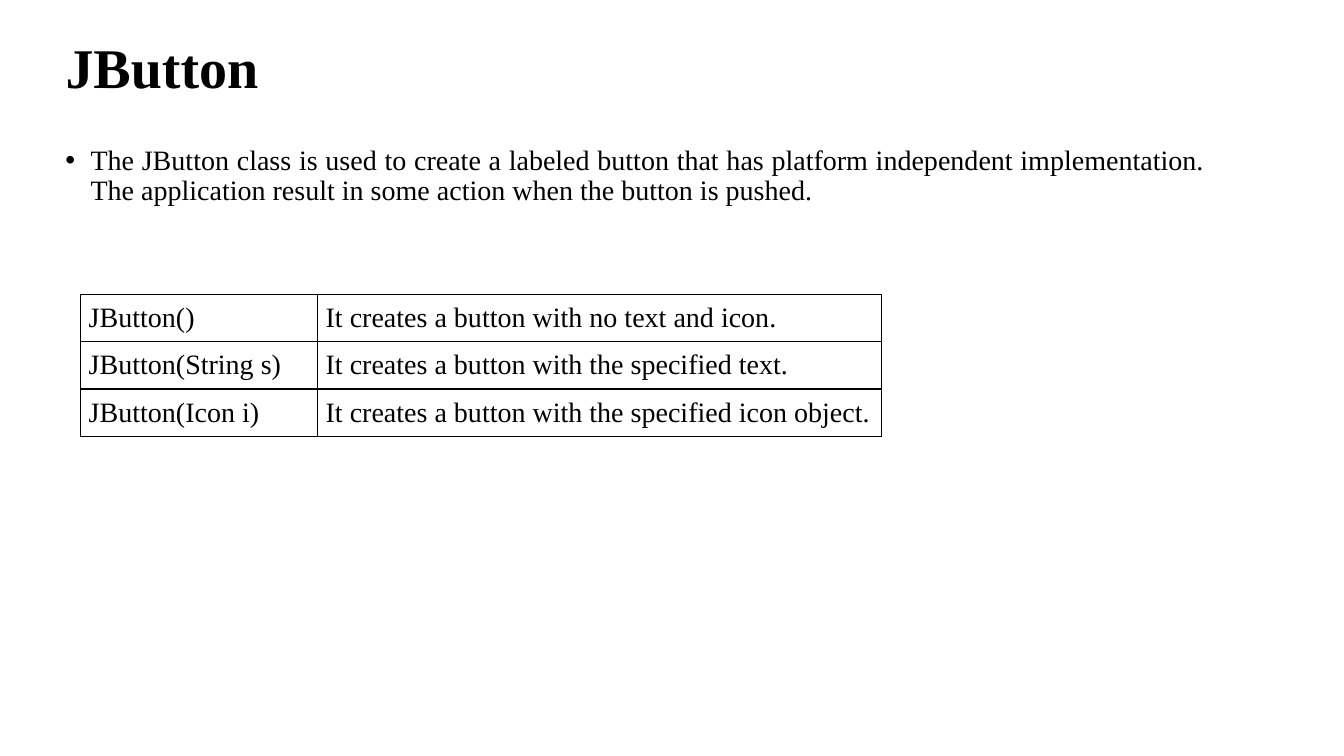
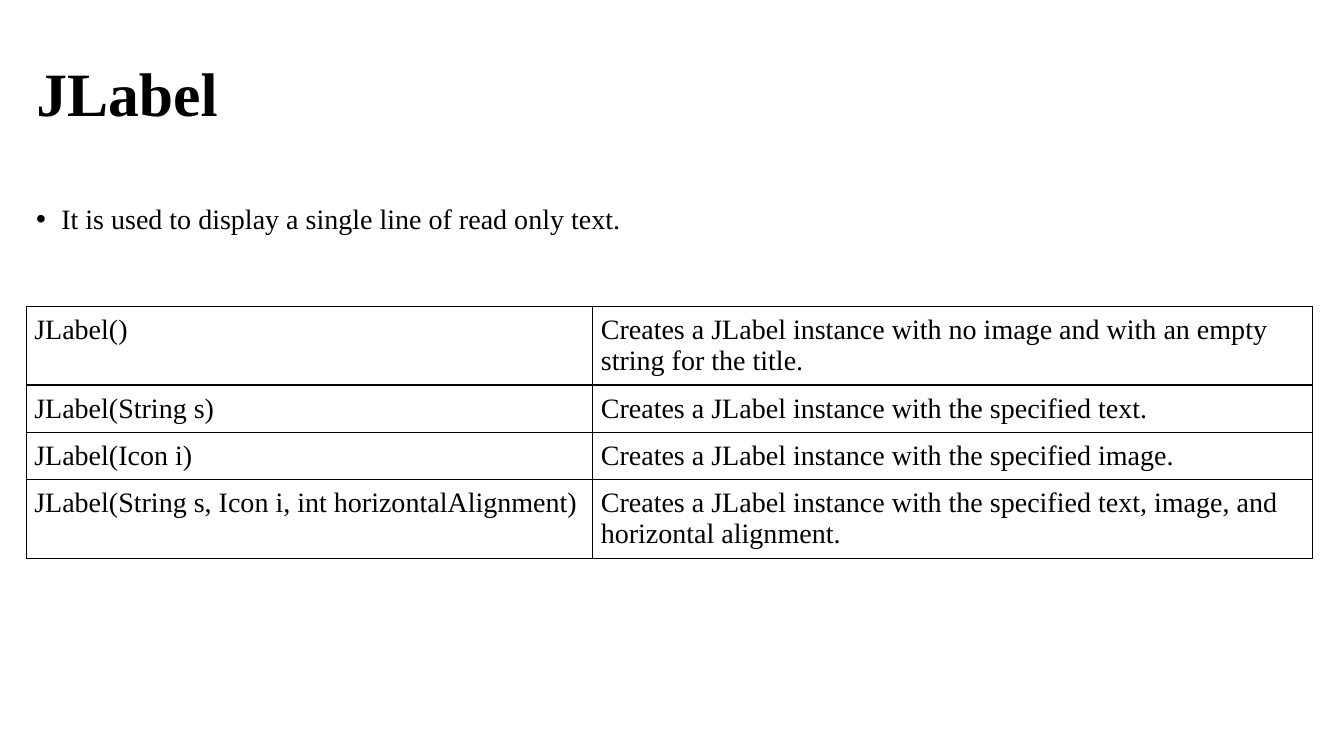
from lxml.etree import SubElement as Sub
from pptx import Presentation as Deck
from pptx.dml.color import RGBColor as Rgb
from pptx.enum.text import MSO_ANCHOR as Anchor, MSO_AUTO_SIZE as Fit, PP_ALIGN as Align
from pptx.oxml.ns import qn
from pptx.util import Inches, Pt

INK = "000000"
FACE = "Times New Roman"
LINE = Pt(1)
PAD = Inches(0.08)
SIZE = Pt(20)
BODY = {"line_spacing": 0.9, "space_before": Pt(10)}
HEAD = {"line_spacing": 0.9, "alignment": Align.LEFT}
FRAME = {"word_wrap": True, "auto_size": Fit.NONE}
CELL = {"margin_left": PAD, "margin_right": PAD, "margin_top": PAD,
        "margin_bottom": PAD, "vertical_anchor": Anchor.TOP}
PLAIN = {"first_row": False, "horz_banding": False}


def tint(color, code):
    color.rgb = Rgb.from_string(code)


def apply(item, values):
    for name, value in values.items():
        setattr(item, name, value)


def write(frame, text, size, bold=False, para={}):
    line = frame.paragraphs[0]
    apply(line, para)
    run = line.add_run()
    run.text = text
    apply(run.font, {"name": FACE, "size": size, "bold": bold})
    tint(run.font.color, INK)
    return line


def place(shape, box):
    names = ("left", "top", "width", "height")
    apply(shape, dict(zip(names, map(Inches, box))))


def title(slide, text, size, box):
    shape = slide.shapes.title
    place(shape, box)
    frame = shape.text_frame
    apply(frame, {**FRAME, "vertical_anchor": Anchor.MIDDLE})
    write(frame, text, Pt(size), True, HEAD)


def bullet(slide, text, box, align):
    frame = slide.shapes.add_textbox(*map(Inches, box)).text_frame
    apply(frame, FRAME)
    line = write(frame, text, SIZE, para={**BODY, "alignment": align})
    props = line._p.get_or_add_pPr()
    props.set("marL", str(Inches(0.25)))
    props.set("indent", str(Inches(-0.25)))
    Sub(props, qn("a:buFont"), typeface="Arial")
    Sub(props, qn("a:buChar"), char="•")


def border(cell):
    props = cell._tc.get_or_add_tcPr()
    for side in ("L", "R", "T", "B"):
        edge = Sub(props, qn(f"a:ln{side}"), w=str(LINE))
        fill = Sub(edge, qn("a:solidFill"))
        Sub(fill, qn("a:srgbClr"), val=INK)


def table(slide, left, top, widths, heights, rows):
    box = map(Inches, (left, top, sum(widths), sum(heights)))
    grid = slide.shapes.add_table(len(rows), len(widths), *box).table
    apply(grid, PLAIN)
    for col, width in zip(grid.columns, widths):
        col.width = Inches(width)
    for row, height, texts in zip(grid.rows, heights, rows):
        row.height = Inches(height)
        for cell, text in zip(row.cells, texts):
            apply(cell, CELL)
            border(cell)
            cell.fill.background()
            write(cell.text_frame, text, SIZE)


def main():
    deck = Deck()
    apply(deck, {"slide_width": Inches(13.33), "slide_height": Inches(7.5)})
    layout = deck.slide_layouts[5]
    one, two = 0.47, 0.78

    slide = deck.slides.add_slide(layout)
    title(slide, "JButton", 40, (0.55, 0.21, 11.5, 0.98))
    bullet(slide, "The JButton class is used to create a labeled button that has "
           "platform independent implementation. The application result in some "
           "action when the button is pushed.", (0.55, 1.4, 11.5, 6.1), Align.JUSTIFY)
    table(slide, 0.8, 2.92, (2.35, 5.59), (one,) * 3, [
        ("JButton()", "It creates a button with no text and icon."),
        ("JButton(String s)", "It creates a button with the specified text."),
        ("JButton(Icon i)", "It creates a button with the specified icon object."),
    ])

    slide = deck.slides.add_slide(layout)
    title(slide, "JLabel", 44, (0.26, 0.4, 12.15, 1.12))
    bullet(slide, "It is used to display a single line of read only text.",
           (0.26, 1.99, 12.27, 4.49), Align.LEFT)
    table(slide, 0.26, 3.04, (5.62, 7.14), (two, one, one, two), [
        ("JLabel()", "Creates a JLabel instance with no image and with an empty "
         "string for the title."),
        ("JLabel(String s)", "Creates a JLabel instance with the specified text."),
        ("JLabel(Icon i)", "Creates a JLabel instance with the specified image."),
        ("JLabel(String s, Icon i, int horizontalAlignment)",
         "Creates a JLabel instance with the specified text, image, and "
         "horizontal alignment."),
    ])
    deck.save("out.pptx")


if __name__ == "__main__":
    main()
